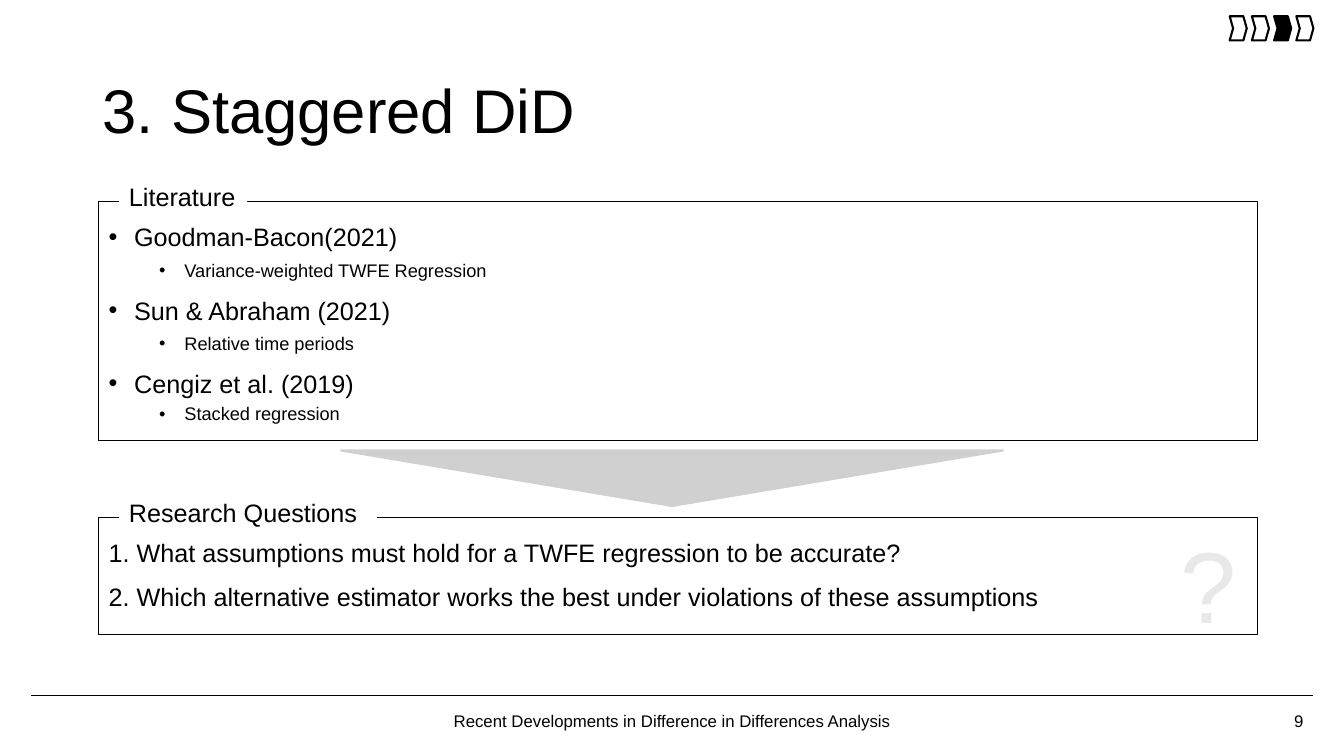
from dataclasses import dataclass

from lxml import etree
from pptx import Presentation, util as u
from pptx.dml.color import RGBColor
from pptx.enum import shapes, text
from pptx.oxml.ns import qn

BLACK = RGBColor(0x00, 0x00, 0x00)
WHITE = RGBColor(0xFF, 0xFF, 0xFF)
GREY = RGBColor(0xD0, 0xD0, 0xD0)
PALE = RGBColor(0xE8, 0xE8, 0xE8)
FONT = "Arial"
LEFT, CENTER, RIGHT = text.PP_ALIGN.LEFT, text.PP_ALIGN.CENTER, text.PP_ALIGN.RIGHT
TOP, MIDDLE = text.MSO_ANCHOR.TOP, text.MSO_ANCHOR.MIDDLE
KIND = shapes.MSO_SHAPE


@dataclass
class Line:
    words: str
    size: float = 18
    before: float = 0
    level: int | None = None  # bullet level, None for plain text
    spacing: float | None = None


@dataclass
class Label:
    """Free text; lengths in cm."""
    line: Line
    left: float
    top: float
    width: float
    height: float
    align: text.PP_ALIGN = LEFT
    anchor: text.MSO_ANCHOR = MIDDLE
    color: RGBColor = BLACK
    wrap: bool = True


@dataclass
class Panel:
    """Framed box whose heading sits on its top edge; lengths in cm."""
    head: str
    head_width: float
    top: float
    height: float
    lines: list[Line]


PANEL_LEFT, PANEL_WIDTH = 2.49, 29.21
PANELS = [
    Panel("Literature", 3.23, 5.08, 6.02, [
        Line("Goodman-Bacon(2021)", 18, 0.5, 0),
        Line("Variance-weighted TWFE Regression", 13, 5, 1),
        Line("Sun & Abraham (2021)", 18, 10, 0),
        Line("Relative time periods", 13, 5, 1),
        Line("Cengiz et al. (2019)", 18, 10, 0),
        Line("Stacked regression", 13, 5, 1, 0.9),
    ]),
    Panel("Research Questions", 6.5, 13.03, 2.97, [
        Line("1. What assumptions must hold for a TWFE regression to be accurate?"),
        Line("2. Which alternative estimator works the best under violations "
             "of these assumptions", before=10),
    ]),
]
LABELS = [
    Label(Line("3. Staggered DiD", 44, spacing=0.9), 2.34, 1.02, 29.21, 3.68),
    Label(Line("Recent Developments in Difference in Differences Analysis", 12),
          10.9, 17.65, 12.09, 1.02, CENTER),
    Label(Line("9", 12), 25.48, 17.65, 7.62, 1.02, RIGHT),
    Label(Line("?", 72), 29.51, 13.03, 1.93, 3.33,
          anchor=TOP, color=PALE, wrap=False),
]
STEPS, CURRENT = 4, 2


def add_bullet(para, level: int) -> None:
    props = para._p.get_or_add_pPr()
    props.set("marL", str(u.Cm(0.64 + 1.27 * level)))
    props.set("indent", str(u.Cm(-0.64)))
    etree.SubElement(props, qn("a:buFont")).set("typeface", FONT)
    etree.SubElement(props, qn("a:buChar")).set("char", "•")


def write(shape, lines: list[Line], align=LEFT, anchor=TOP,
          color: RGBColor = BLACK, inset: float = 0.13, wrap: bool = True) -> None:
    frame = shape.text_frame
    frame.word_wrap = wrap
    frame.vertical_anchor = anchor
    frame.margin_left = frame.margin_right = u.Cm(0.25)
    frame.margin_top, frame.margin_bottom = u.Cm(inset), u.Cm(0.13)
    frame.text = "\n".join(line.words for line in lines)
    for para, line in zip(frame.paragraphs, lines):
        para.alignment = align
        para.space_before = u.Pt(line.before)
        if line.spacing:
            para.line_spacing = line.spacing
        if line.level is not None:
            para.level = line.level
            add_bullet(para, line.level)
        for run in para.runs:
            run.font.name = FONT
            run.font.size = u.Pt(line.size)
            run.font.color.rgb = color


def draw(parent, kind, left: float, top: float, width: float, height: float,
         fill: RGBColor | None = None, edge: RGBColor | None = None,
         weight: float = 1.5):
    """Add a flat preset shape; lengths in cm, weight in points."""
    shape = parent.add_shape(kind, u.Cm(left), u.Cm(top), u.Cm(width), u.Cm(height))
    shape.shadow.inherit = False
    if fill is None:
        shape.fill.background()
    else:
        shape.fill.solid()
        shape.fill.fore_color.rgb = fill
    if edge is None:
        shape.line.fill.background()
    else:
        shape.line.color.rgb = edge
        shape.line.width = u.Pt(weight)
    return shape


def add_label(slide, label: Label) -> None:
    box = slide.shapes.add_textbox(u.Cm(label.left), u.Cm(label.top),
                                   u.Cm(label.width), u.Cm(label.height))
    write(box, [label.line], label.align, label.anchor, label.color,
          wrap=label.wrap)


def add_panel(slide, panel: Panel) -> None:
    frame = draw(slide.shapes, KIND.RECTANGLE, PANEL_LEFT, panel.top,
                 PANEL_WIDTH, panel.height, edge=BLACK, weight=0.75)
    write(frame, panel.lines, inset=0.51)
    head = draw(slide.shapes, KIND.RECTANGLE, PANEL_LEFT + 0.51,
                panel.top - 0.64, panel.head_width, 1.02, fill=WHITE)
    write(head, [Line(panel.head)])


def add_rule(slide) -> None:
    rule = slide.shapes.add_connector(shapes.MSO_CONNECTOR.STRAIGHT,
                                      u.Cm(0.79), u.Cm(17.53),
                                      u.Cm(33.1), u.Cm(17.53))
    rule.line.color.rgb = BLACK
    rule.line.width = u.Pt(1)
    etree.SubElement(rule._element.spPr, qn("a:effectLst"))


def add_steps(slide) -> None:
    """Progress marks in the top right corner."""
    group = slide.shapes.add_group_shape()
    for i in range(STEPS):
        mark = draw(group.shapes, KIND.CHEVRON, 30.99 + 0.56 * i, 0.41, 0.43, 0.61,
                    fill=BLACK if i == CURRENT else None, edge=BLACK)
        mark.adjustments[0] = 0.2


def main() -> None:
    deck = Presentation()
    deck.slide_width, deck.slide_height = u.Cm(33.87), u.Cm(19.05)
    slide = deck.slides.add_slide(deck.slide_layouts[6])
    add_rule(slide)
    for panel in PANELS:
        add_panel(slide, panel)
    arrow = draw(slide.shapes, KIND.ISOSCELES_TRIANGLE, 8.59, 11.35, 16.69, 1.4,
                 fill=GREY, edge=GREY)
    arrow.rotation = 180
    for label in LABELS:
        add_label(slide, label)
    add_steps(slide)
    deck.save("out.pptx")


if __name__ == "__main__":
    main()
